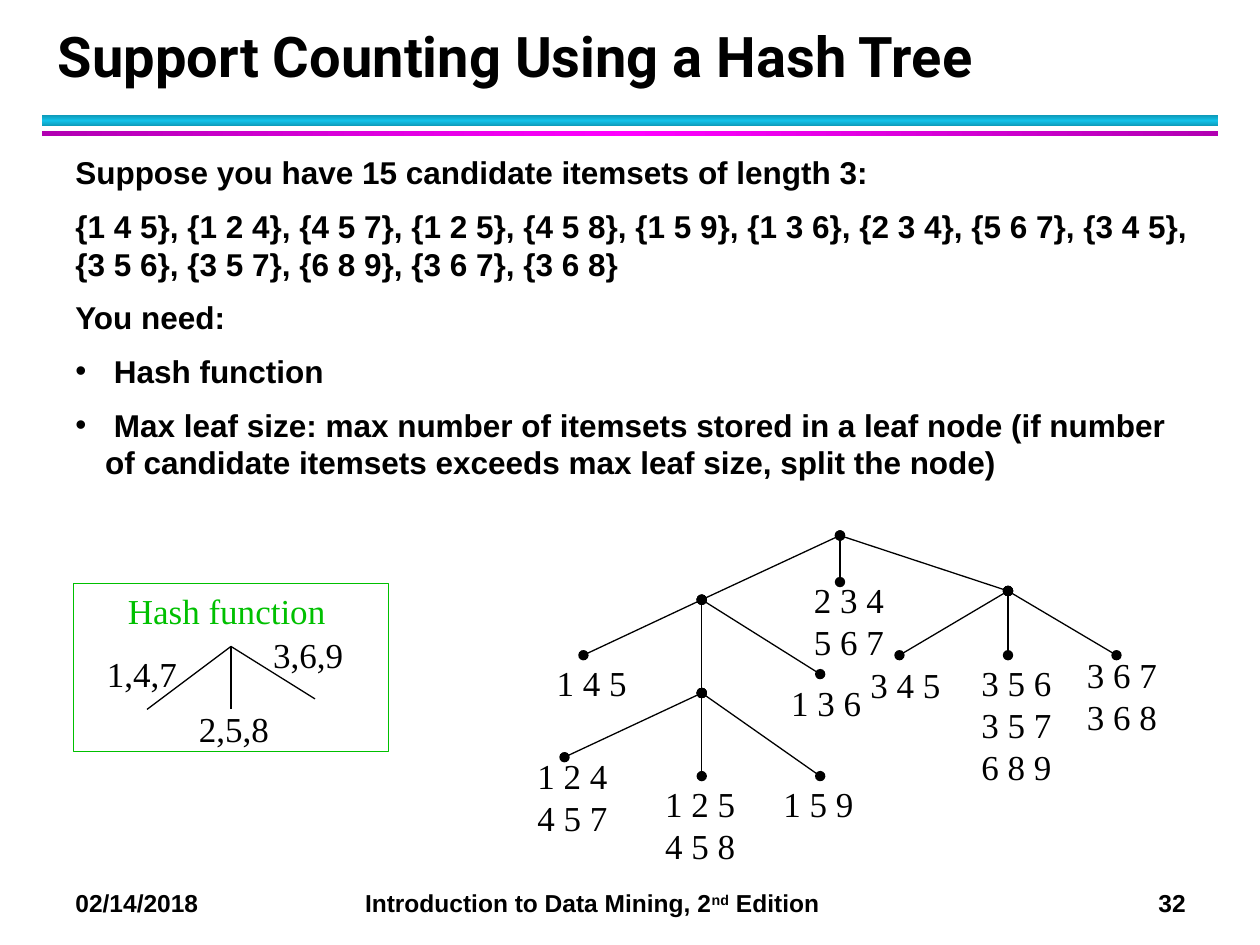
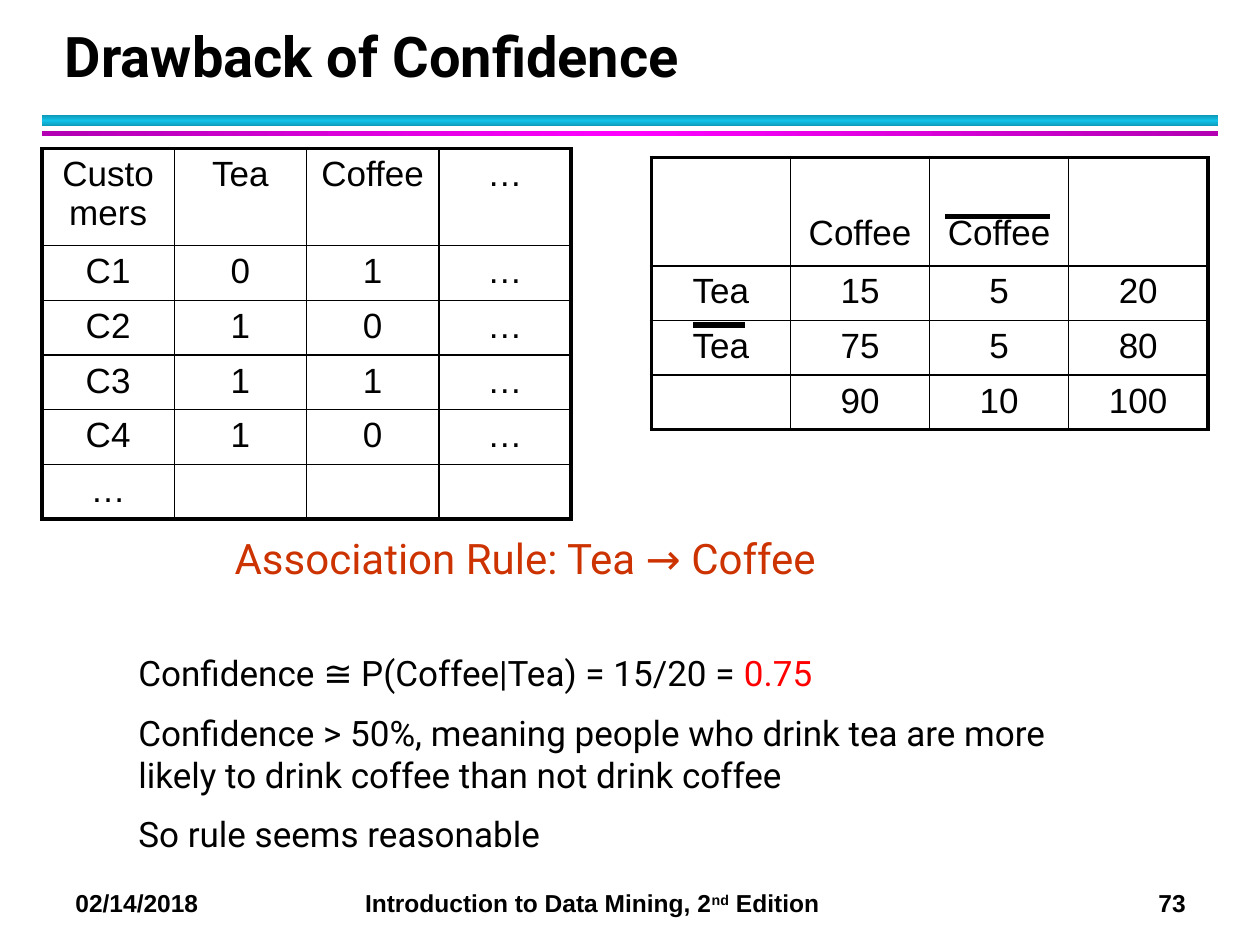
from copy import deepcopy
from dataclasses import dataclass

from lxml.etree import SubElement
from pptx import Presentation
from pptx.dml.color import RGBColor
from pptx.enum.shapes import MSO_CONNECTOR, MSO_SHAPE
from pptx.enum.text import MSO_ANCHOR, PP_ALIGN
from pptx.oxml.ns import qn
from pptx.util import Pt

COLORS = {
    "black": "000000",
    "cyan": "12C2E9",
    "cyan_dark": "0E9BBA",
    "magenta": "FF00FF",
    "magenta_dark": "B200B2",
    "green": "00C000",
    "rust": "CC3300",
    "red": "FF0000",
}
FORMATS = {
    "title": {"name": "Roboto", "size": Pt(32), "bold": True},
    "footer": {"name": "Arial", "size": Pt(14), "bold": True},
    "body": {"name": "Arial", "size": Pt(18), "bold": True},
    "tree": {"name": "Times New Roman", "size": Pt(20)},
    "cell": {"name": "Arial", "size": Pt(20)},
    "rule": {"name": "Roboto", "size": Pt(24)},
    "argument": {"name": "Roboto", "size": Pt(20)},
}


@dataclass
class Span:
    text: str
    style: str
    color: str = "black"
    raised: bool = False


@dataclass
class Line:
    spans: list[Span]
    before: float = 0
    indent: float = 0
    bullet: bool = False


@dataclass
class Band:
    top: float
    height: float
    edge: str
    middle: str
    angle: int


@dataclass
class Node:
    x: float
    y: float
    itemsets: tuple[str, ...] = ()
    label_at: tuple[float, float] = (0, 0)
    children: tuple["Node", ...] = ()


@dataclass
class Grid:
    left: float
    top: float
    column: float
    header: float
    rows: list[list[str]]
    header_inset: float = 3.6


BANDS = [
    Band(66, 6, "cyan_dark", "cyan", 90),
    Band(74.75, 3, "magenta_dark", "magenta", 0),
]
ROW_HEIGHT = 31.2

HASH_TREE = Node(480, 306, children=(
    Node(401, 342.7, children=(
        Node(333.4, 374.4, ("1 4 5",), (311, 374.4)),
        Node(401, 396, children=(
            Node(322.6, 432.7, ("1 2 4", "4 5 7"), (300, 427.7)),
            Node(401, 443.5, ("1 2 5", "4 5 8"), (373, 443.5)),
            Node(468.7, 443.5, ("1 5 9",), (440.6, 443.5)),
        )),
        Node(468.7, 385.2, ("1 3 6",), (445, 386)),
    )),
    Node(480, 332.6, ("2 3 4", "5 6 7"), (458, 327)),
    Node(576, 337.7, children=(
        Node(514, 374.4, ("3 4 5",), (490.3, 375.8)),
        Node(576, 374.4, ("3 5 6", "3 5 7", "6 8 9"), (553.7, 374.4)),
        Node(638, 374.4, ("3 6 7", "3 6 8"), (614, 370)),
    )),
))
HASH_ROOT = (132, 369.4)
HASH_BRANCHES = [
    ("1,4,7", (84, 405.4), (54, 369.4)),
    ("2,5,8", (132, 405.4), (106.6, 401)),
    ("3,6,9", (180, 399.4), (149, 358.6)),
]

PURCHASES = Grid(24, 85, 75.6, 55.4, [
    ["Customers", "Tea", "Coffee", "…"],
    ["C1", "0", "1", "…"],
    ["C2", "1", "0", "…"],
    ["C3", "1", "1", "…"],
    ["C4", "1", "0", "…"],
    ["…", "", "", ""],
])
CONTINGENCY = Grid(372.25, 90, 79.5, 61.9, [
    ["", "Coffee", "Coffee", ""],
    ["Tea", "15", "5", "20"],
    ["Tea", "75", "5", "80"],
    ["", "90", "10", "100"],
], header_inset=32)
NEGATION_BARS = [((540, 123.8), (600, 123.8)), ((396, 185.8), (426, 185.8))]


def rgb(color: str) -> RGBColor:
    return RGBColor.from_string(COLORS[color])


def write(paragraph, span: Span) -> None:
    run = paragraph.add_run()
    run.text = span.text
    for attribute, value in FORMATS[span.style].items():
        setattr(run.font, attribute, value)
    run.font.color.rgb = rgb(span.color)
    if span.raised:
        run.font._element.set("baseline", "30000")


def add_text(slide, left, top, width, height, lines: list[Line], wrap=True):
    frame = slide.shapes.add_textbox(Pt(left), Pt(top), Pt(width), Pt(height)).text_frame
    frame.word_wrap = wrap
    for index, line in enumerate(lines):
        paragraph = frame.add_paragraph() if index else frame.paragraphs[0]
        paragraph.space_before = Pt(line.before)
        properties = paragraph._p.get_or_add_pPr()
        properties.set("marL", str(Pt(line.indent)))
        if line.bullet:
            properties.set("indent", str(-Pt(line.indent)))
            SubElement(properties, qn("a:buFont"), typeface="Arial")
            SubElement(properties, qn("a:buChar"), char="•")
        for span in line.spans:
            write(paragraph, span)
    return frame


def add_line(slide, start, end, width=0.75, dots=False) -> None:
    points = [Pt(value) for value in (*start, *end)]
    connector = slide.shapes.add_connector(MSO_CONNECTOR.STRAIGHT, *points)
    connector.line.width = Pt(width)
    connector.line.color.rgb = rgb("black")
    if dots:
        outline = connector.line._get_or_add_ln()
        for end_name in ("a:headEnd", "a:tailEnd"):
            SubElement(outline, qn(end_name), type="oval")
    SubElement(connector._element.spPr, qn("a:effectLst"))


def add_rectangle(slide, left, top, width, height):
    box = slide.shapes.add_shape(
        MSO_SHAPE.RECTANGLE, Pt(left), Pt(top), Pt(width), Pt(height))
    box.shadow.inherit = False
    return box


def add_band(slide, band: Band) -> None:
    bar = add_rectangle(slide, 24, band.top, 672, band.height)
    bar.line.fill.background()
    bar.fill.gradient()
    bar.fill.gradient_angle = band.angle
    stop_list = bar._element.spPr.find(".//" + qn("a:gsLst"))
    stop_list.append(deepcopy(stop_list[0]))
    colors = (band.edge, band.middle, band.edge)
    for stop, position, color in zip(bar.fill.gradient_stops, (0, 0.5, 1), colors):
        stop.position = position
        stop.color.rgb = rgb(color)


def start_slide(deck, title: str, title_left: float, number: int):
    """Add a slide with the shared bands, footer and title."""
    slide = deck.slides.add_slide(deck.slide_layouts[6])
    for band in BANDS:
        add_band(slide, band)
    footer = add_text(slide, 36, 504, 672, 24.5, [Line([
        Span("02/14/2018\tIntroduction to Data Mining, 2", "footer"),
        Span("nd", "footer", raised=True),
        Span(f" Edition\t{number}", "footer"),
    ])])
    tabs = SubElement(footer.paragraphs[0]._p.get_or_add_pPr(), qn("a:tabLst"))
    for position, alignment in ((165.5, "l"), (634.5, "r")):
        SubElement(tabs, qn("a:tab"), pos=str(Pt(position)), algn=alignment)
    heading = add_text(slide, title_left, 12, 652, 42, [Line([Span(title, "title")])])
    heading.vertical_anchor = MSO_ANCHOR.BOTTOM
    heading.paragraphs[0].line_spacing = Pt(36)
    return slide


def add_label(slide, at, rows, width=54.7, color="black") -> None:
    lines = [Line([Span(row, "tree", color)]) for row in rows]
    add_text(slide, *at, width, 7 + 24 * len(rows), lines, wrap=False)


def add_tree(slide, node: Node) -> None:
    for child in node.children:
        add_line(slide, (node.x, node.y), (child.x, child.y), dots=True)
        add_tree(slide, child)
    if node.itemsets:
        add_label(slide, node.label_at, node.itemsets)


def set_border(cell, side: str, width: float) -> None:
    edge = SubElement(cell._tc.get_or_add_tcPr(), qn("a:ln" + side), w=str(Pt(width)))
    fill = SubElement(edge, qn("a:solidFill"))
    SubElement(fill, qn("a:srgbClr"), val=COLORS["black"])


def add_grid(slide, grid: Grid) -> None:
    last_row, last_column = len(grid.rows) - 1, len(grid.rows[0]) - 1
    table = slide.shapes.add_table(
        last_row + 1, last_column + 1, Pt(grid.left), Pt(grid.top),
        Pt(grid.column * (last_column + 1)),
        Pt(grid.header + ROW_HEIGHT * last_row)).table
    table.first_row = table.horz_banding = False
    for column in table.columns:
        column.width = Pt(grid.column)
    for r, values in enumerate(grid.rows):
        table.rows[r].height = Pt(ROW_HEIGHT if r else grid.header)
        for c, value in enumerate(values):
            cell = table.cell(r, c)
            outer = {"L": c == 0, "R": c == last_column, "T": r == 0, "B": r == last_row}
            for side, is_outer in outer.items():
                set_border(cell, side, 2.25 if is_outer else 1)
            cell.fill.background()
            cell.margin_top = Pt(3.6 if r else grid.header_inset)
            if value:
                paragraph = cell.text_frame.paragraphs[0]
                paragraph.alignment = PP_ALIGN.CENTER
                write(paragraph, Span(value, "cell"))


def build_hash_tree_slide(deck) -> None:
    slide = start_slide(deck, "Support Counting Using a Hash Tree", 26, 32)
    add_tree(slide, HASH_TREE)
    for values, end, label_at in HASH_BRANCHES:
        add_line(slide, HASH_ROOT, end)
        add_label(slide, label_at, [values])
    add_label(slide, (66, 333.4), ["Hash function"], 127.4, "green")
    frame = add_rectangle(slide, 42, 333.4, 180, 96)
    frame.fill.background()
    frame.line.color.rgb = rgb("green")
    frame.line.width = Pt(0.75)

    statements = [
        "Suppose you have 15 candidate itemsets of length 3:",
        "{1 4 5}, {1 2 4}, {4 5 7}, {1 2 5}, {4 5 8}, {1 5 9}, {1 3 6}, {2 3 4}, "
        "{5 6 7}, {3 4 5}, {3 5 6}, {3 5 7}, {6 8 9}, {3 6 7}, {3 6 8}",
        "You need:",
    ]
    needs = [
        " Hash function",
        " Max leaf size: max number of itemsets stored in a leaf node (if number "
        "of candidate itemsets exceeds max leaf size, split the node)",
    ]
    lines = [Line([Span(text, "body")], before=9) for text in statements]
    lines += [Line([Span(text, "body")], 9, 17, bullet=True) for text in needs]
    lines[0].before = 0
    add_text(slide, 36, 84.2, 654, 202, lines)


def build_confidence_slide(deck) -> None:
    slide = start_slide(deck, "Drawback of Confidence", 30, 73)
    add_grid(slide, CONTINGENCY)
    for start, end in NEGATION_BARS:
        add_line(slide, start, end, width=3)
    add_text(slide, 72, 301, 582, 196.5, [
        Line([Span("Association Rule: Tea → Coffee", "rule", "rust")], indent=55),
        Line([Span("Confidence ≅ P(Coffee|Tea) = 15/20 = ", "argument"),
              Span("0.75", "argument", "red")], before=39),
        Line([Span("Confidence > 50%, meaning people who drink tea are more likely "
                   "to drink coffee than not drink coffee", "argument")], before=10),
        Line([Span("So rule seems reasonable", "argument")], before=10),
    ])
    add_grid(slide, PURCHASES)


def main() -> None:
    deck = Presentation()
    deck.slide_width, deck.slide_height = Pt(720), Pt(540)
    build_hash_tree_slide(deck)
    build_confidence_slide(deck)
    deck.save("out.pptx")


if __name__ == "__main__":
    main()
